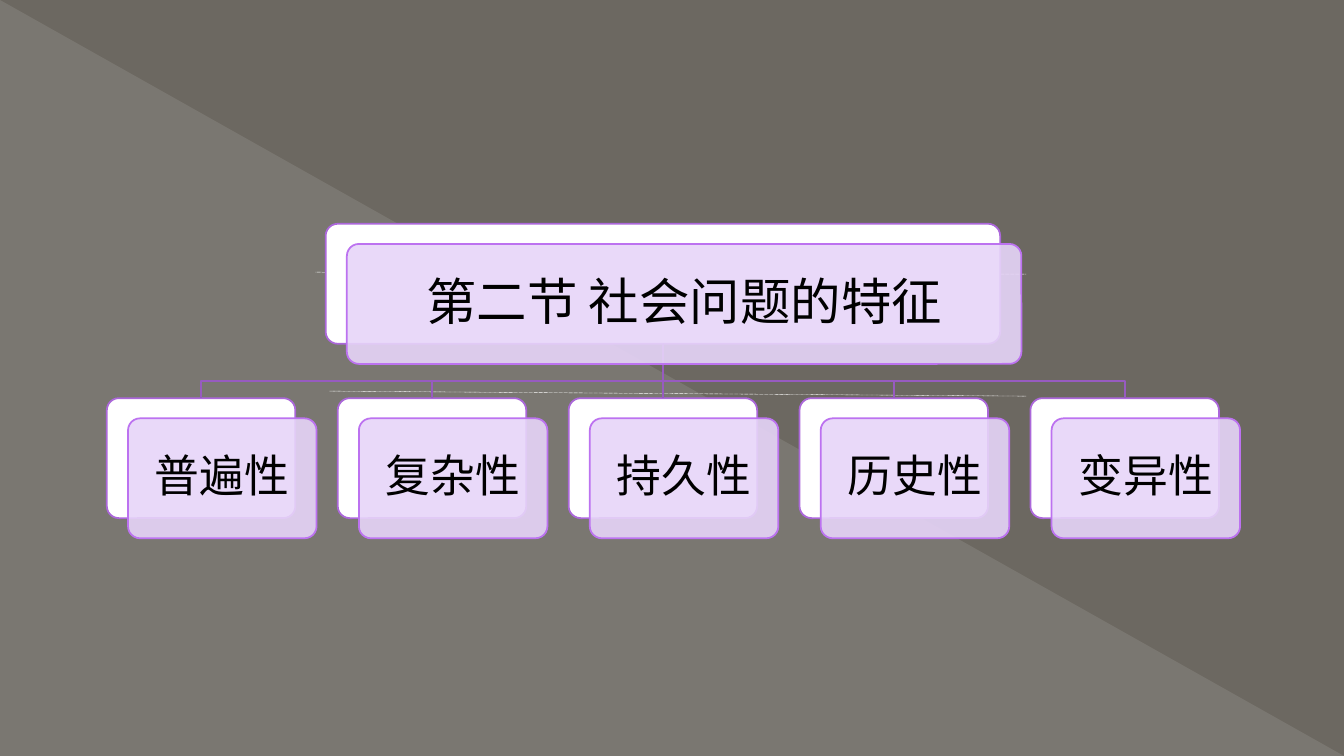
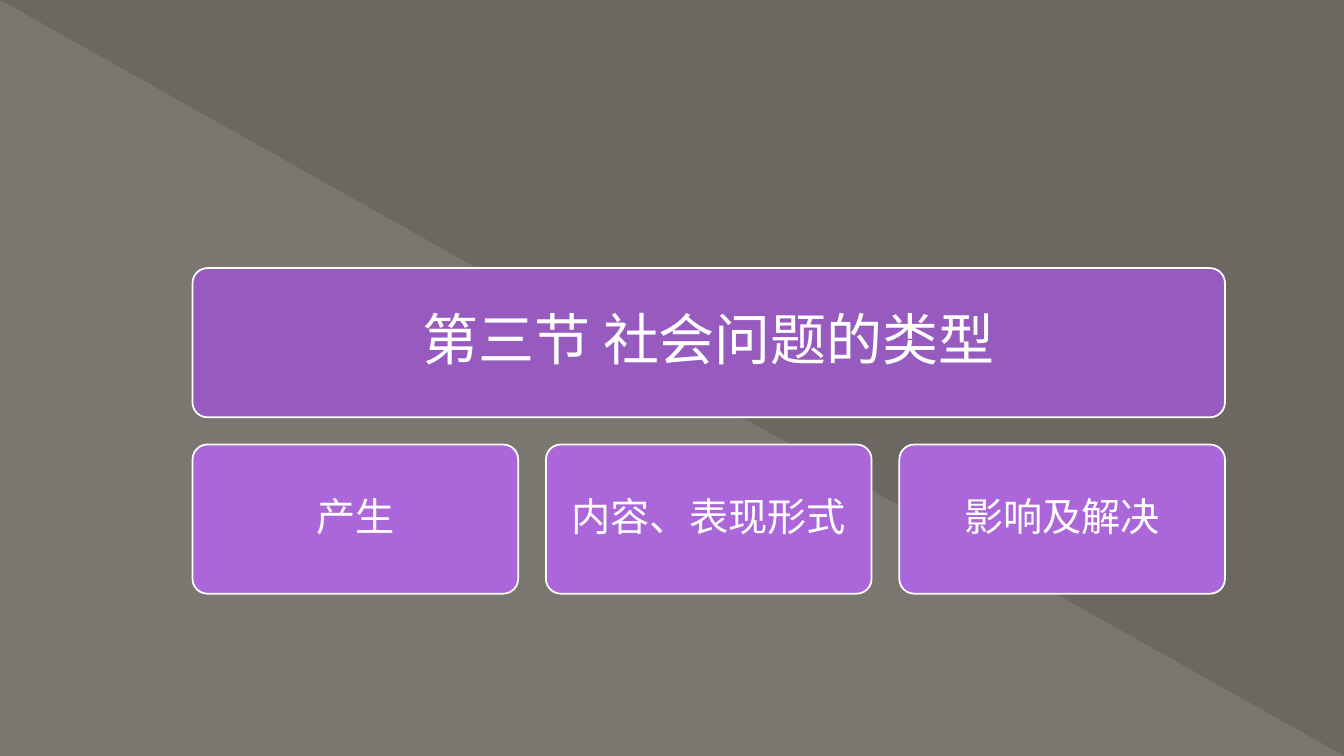
from dataclasses import dataclass, replace
from typing import Optional

from lxml.etree import SubElement
from pptx import Presentation
from pptx.dml.color import RGBColor
from pptx.enum.dml import MSO_LINE
from pptx.enum.shapes import MSO_CONNECTOR, MSO_SHAPE
from pptx.enum.text import MSO_ANCHOR, PP_ALIGN
from pptx.oxml.ns import qn
from pptx.util import Inches, Pt

FONT = "Noto Sans CJK SC"
WIDTH, HEIGHT = 13.33, 7.5
COLORS = {
    "backdrop": "6C6861",
    "white": "FFFFFF",
    "black": "000000",
    "deep": "975BC0",
    "violet": "AB67DA",
    "bright": "BC72F0",
    "lilac": "E7D5F9",
}
FRAME_FORMAT = {"word_wrap": True, "vertical_anchor": MSO_ANCHOR.MIDDLE}
PARAGRAPH_FORMAT = {"alignment": PP_ALIGN.CENTER, "line_spacing": 0.9}
SIDES = ("margin_left", "margin_top", "margin_right", "margin_bottom")


@dataclass(frozen=True)
class Look:
    fill: str
    line: Optional[str] = None
    opacity: int = 100
    ink: str = "white"
    size: int = 28
    inset: float = 0.15


@dataclass(frozen=True)
class Card:
    label: str
    left: float
    top: float
    width: float
    height: float
    look: Look

    @property
    def center(self) -> float:
        return self.left + self.width / 2

    @property
    def bottom(self) -> float:
        return self.top + self.height


BACK = Look("white", "violet")
FRONT = Look("lilac", "bright", 90, "black", 32, 0.15)
HEADING = Look("deep", "white", size=40, inset=0.2)
TYPE = Look("violet", "white", size=28, inset=0.15)


def rgb(color: str) -> RGBColor:
    return RGBColor.from_string(COLORS[color])


def apply(target, values: dict) -> None:
    for name, value in values.items():
        setattr(target, name, value)


def style_line(line, color: str, width: float) -> None:
    line.color.rgb = rgb(color)
    line.width = Pt(width)


def paint(shape, look: Look) -> None:
    shape.shadow.inherit = False
    shape.fill.solid()
    shape.fill.fore_color.rgb = rgb(look.fill)
    if look.opacity < 100:
        fill_color = shape._element.spPr.find(qn("a:solidFill")).find(qn("a:srgbClr"))
        SubElement(fill_color, qn("a:alpha")).set("val", str(look.opacity * 1000))
    if look.line:
        style_line(shape.line, look.line, 1.25)
    else:
        shape.line.fill.background()


def write(shape, label: str, look: Look) -> None:
    frame = shape.text_frame
    apply(frame, FRAME_FORMAT | dict.fromkeys(SIDES, Inches(look.inset)))
    paragraph = frame.paragraphs[0]
    apply(paragraph, PARAGRAPH_FORMAT)
    run = paragraph.add_run()
    run.text = label
    apply(run.font, {"name": FONT, "size": Pt(look.size)})
    run.font.color.rgb = rgb(look.ink)
    SubElement(run._r.get_or_add_rPr(), qn("a:ea")).set("typeface", FONT)


def draw_card(slide, card: Card):
    box = slide.shapes.add_shape(
        MSO_SHAPE.ROUNDED_RECTANGLE,
        *map(Inches, (card.left, card.top, card.width, card.height)),
    )
    box.adjustments[0] = 0.1
    paint(box, card.look)
    if card.label:
        write(box, card.label, card.look)
    return box


def draw_line(slide, start: tuple, end: tuple, color: str, width: float):
    line = slide.shapes.add_connector(
        MSO_CONNECTOR.STRAIGHT, *map(Inches, (*start, *end))
    )
    style_line(line.line, color, width)
    SubElement(line._element.spPr, qn("a:effectLst"))
    return line


def draw_branch(slide, parent: Card, child: Card, bend: float) -> None:
    points = [
        (parent.center, parent.bottom),
        (parent.center, bend),
        (child.center, bend),
        (child.center, child.top),
    ]
    start, *rest = [(Inches(x), Inches(y)) for x, y in points]
    builder = slide.shapes.build_freeform(*start)
    builder.add_line_segments(rest, close=False)
    branch = builder.convert_to_shape()
    branch.shadow.inherit = False
    branch.fill.background()
    style_line(branch.line, "deep", 1.25)


def add_slide(deck):
    slide = deck.slides.add_slide(deck.slide_layouts[6])
    wedge = slide.shapes.add_shape(
        MSO_SHAPE.RIGHT_TRIANGLE, 0, 0, Inches(WIDTH), Inches(HEIGHT)
    )
    paint(wedge, Look("white", opacity=10))
    return slide


def build_features(deck) -> None:
    slide = add_slide(deck)
    for start, end in (((3.13, 2.7), (10.18, 2.72)), ((3.27, 3.88), (10.18, 3.93))):
        dotted = draw_line(slide, start, end, "white", 0.25)
        dotted.line.dash_style = MSO_LINE.ROUND_DOT

    heading = Card("", 3.23, 2.22, 6.69, 1.19, BACK)
    features = ["普遍性", "复杂性", "持久性", "历史性", "变异性"]
    pitch = 2.29
    leaves = [
        Card("", 1.06 + pitch * i, 3.95, 1.87, 1.19, BACK)
        for i in range(len(features))
    ]
    heading_box = draw_card(slide, heading)
    middle = len(leaves) // 2
    for i, leaf in enumerate(leaves):
        leaf_box = draw_card(slide, leaf)
        if i == middle:
            trunk = draw_line(
                slide,
                (heading.center, heading.bottom),
                (leaf.center, leaf.top),
                "deep",
                1.25,
            )
            trunk.begin_connect(heading_box, 2)
            trunk.end_connect(leaf_box, 0)
        else:
            draw_branch(slide, heading, leaf, 3.78)

    labels = ["第二节 社会问题的特征", *features]
    looks = [replace(FRONT, size=36)] + [FRONT] * len(features)
    for back, label, look in zip([heading, *leaves], labels, looks):
        front = replace(
            back, label=label, left=back.left + 0.21, top=back.top + 0.2, look=look
        )
        draw_card(slide, front)


def build_types(deck) -> None:
    slide = add_slide(deck)
    left, full_width, width, height = 1.91, 10.24, 3.23, 1.48
    draw_card(
        slide, Card("第三节 社会问题的类型", left, 2.66, full_width, height, HEADING)
    )
    types = ["产生", "内容、表现形式", "影响及解决"]
    pitch = (full_width - width) / (len(types) - 1)
    for i, label in enumerate(types):
        draw_card(slide, Card(label, left + pitch * i, 4.41, width, height, TYPE))


def main() -> None:
    deck = Presentation()
    deck.slide_width, deck.slide_height = Inches(WIDTH), Inches(HEIGHT)
    backdrop = deck.slide_master.background.fill
    backdrop.solid()
    backdrop.fore_color.rgb = rgb("backdrop")
    build_features(deck)
    build_types(deck)
    deck.save("out.pptx")


if __name__ == "__main__":
    main()
